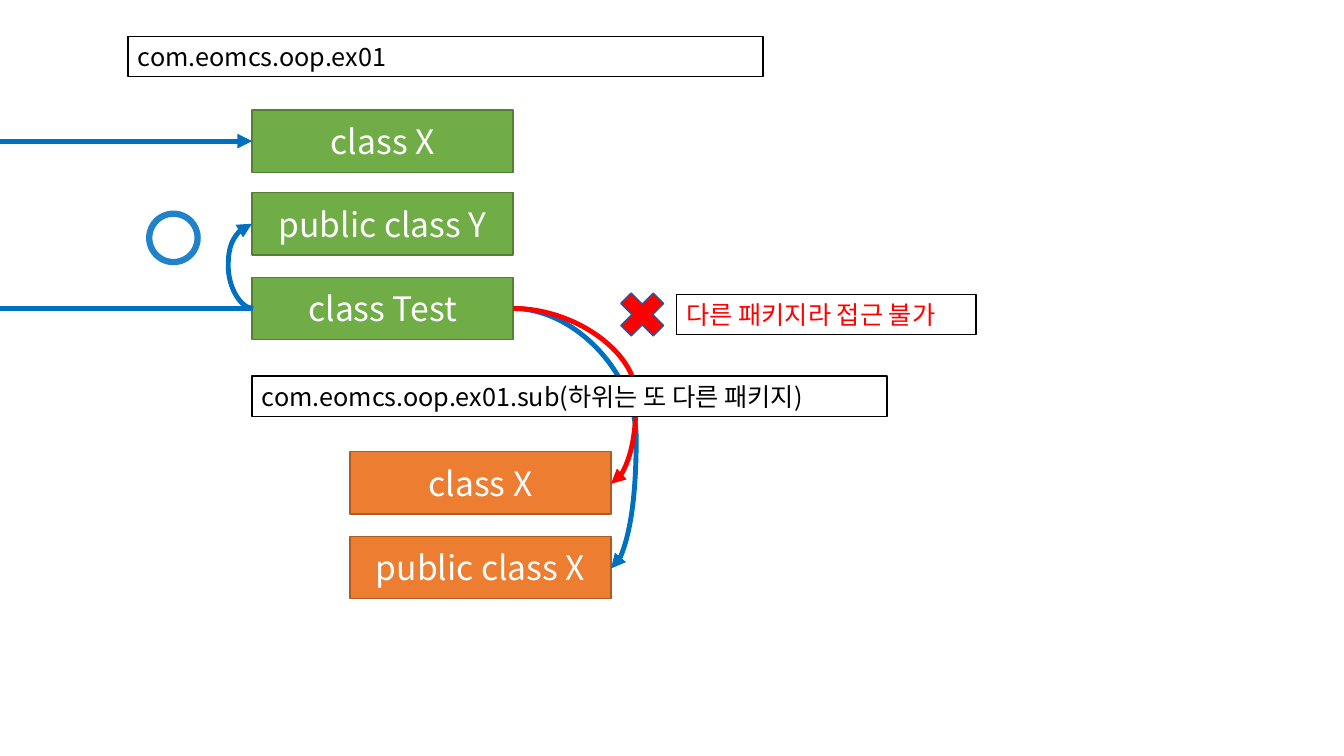
from pptx import Presentation
from pptx.dml.color import RGBColor
from pptx.enum.shapes import MSO_CONNECTOR, MSO_SHAPE
from pptx.enum.text import MSO_ANCHOR, PP_ALIGN
from pptx.oxml.ns import qn
from pptx.util import Pt
from lxml import etree

PX = 9144  # 100 px to the inch
FONT = "Noto Sans CJK KR"
RECTANGLE, OVAL, CROSS = MSO_SHAPE.RECTANGLE, MSO_SHAPE.OVAL, MSO_SHAPE.MATH_MULTIPLY
STRAIGHT, CURVE = MSO_CONNECTOR.STRAIGHT, MSO_CONNECTOR.CURVE
MIDDLE, TOP = MSO_ANCHOR.MIDDLE, MSO_ANCHOR.TOP
CENTER, LEFT = PP_ALIGN.CENTER, PP_ALIGN.LEFT
COLORS = {
    "white": "FFFFFF", "black": "000000", "red": "FF0000", "blue": "0070C0",
    "green": "70AD47", "dark green": "538035", "orange": "ED7D31",
    "brown": "AF5C24", "ring": "2082C8", "navy": "325491",
}
RGB = {name: RGBColor.from_string(value) for name, value in COLORS.items()}

presentation = Presentation()
presentation.slide_width = 1333 * PX
presentation.slide_height = 750 * PX
slide = presentation.slides.add_slide(presentation.slide_layouts[6])


def add_box(kind, box, fill, line, line_width=1, text="", size=18, color="black", centered=False):
    shape = slide.shapes.add_shape(kind, *(value * PX for value in box))
    shape.shadow.inherit = False
    if fill:
        shape.fill.solid()
        shape.fill.fore_color.rgb = RGB[fill]
    else:
        shape.fill.background()
    shape.line.color.rgb = RGB[line]
    shape.line.width = Pt(line_width)
    if text:
        text_frame = shape.text_frame
        text_frame.word_wrap = True
        text_frame.vertical_anchor = MIDDLE if centered else TOP
        text_frame.text = text
        paragraph = text_frame.paragraphs[0]
        paragraph.alignment = CENTER if centered else LEFT
        run = paragraph.runs[0]
        run.font.name = FONT
        run.font.size = Pt(size)
        run.font.color.rgb = RGB[color]
        properties = run.font._element
        etree.SubElement(properties, qn("a:ea"), typeface=FONT)


def add_link(kind, start, end, color, bend=None, arrow=True):
    connector = slide.shapes.add_connector(kind, *(value * PX for value in start + end))
    connector.line.color.rgb = RGB[color]
    connector.line.width = Pt(3.5)
    properties = connector.element.spPr
    if arrow:
        etree.SubElement(properties.find(qn("a:ln")), qn("a:tailEnd"), type="triangle")
    etree.SubElement(properties, qn("a:effectLst"))
    if bend is not None:
        geometry = properties.find(qn("a:prstGeom"))
        guides = geometry.find(qn("a:avLst"))
        if guides is None:
            guides = etree.SubElement(geometry, qn("a:avLst"))
        # Bend position as a share of the connector's width
        share = round((bend - start[0]) / (end[0] - start[0]) * 100000)
        etree.SubElement(guides, qn("a:gd"), name="adj1", fmla=f"val {share}")


# Package ex01 and its classes
add_box(RECTANGLE, (127, 36, 630, 40), "white", "black", text="com.eomcs.oop.ex01")
CLASSES = [
    (250, 109, "class X", "green", "dark green"),
    (250, 191, "public class Y", "green", "dark green"),
    (250, 275, "class Test", "green", "dark green"),
    (347, 448, "class X", "orange", "brown"),
    (347, 532, "public class X", "orange", "brown"),
]
for left, top, name, fill, line in CLASSES:
    add_box(RECTANGLE, (left, top, 259, 62), fill, line, text=name, size=24,
            color="white", centered=True)

# Access within the package
add_link(STRAIGHT, (0, 140), (250, 140), "blue")
add_link(STRAIGHT, (0, 306), (250, 306), "blue", arrow=False)
add_link(CURVE, (251, 306), (250, 222), "blue", bend=226)
add_box(OVAL, (148, 212, 48, 48), None, "ring", line_width=4.5)

# Access to the sub package
add_link(CURVE, (509, 306), (606, 564), "blue", bend=631)
add_link(CURVE, (509, 306), (606, 480), "red", bend=631)
add_box(RECTANGLE, (250, 373, 630, 40), "white", "black",
        text="com.eomcs.oop.ex01.sub(하위는 또 다른 패키지)")

# Refused access
add_box(CROSS, (606, 281, 62, 62), "red", "navy")
add_box(RECTANGLE, (671, 292, 297, 40), "white", "black",
        text="다른 패키지라 접근 불가", color="red")

presentation.save("out.pptx")
